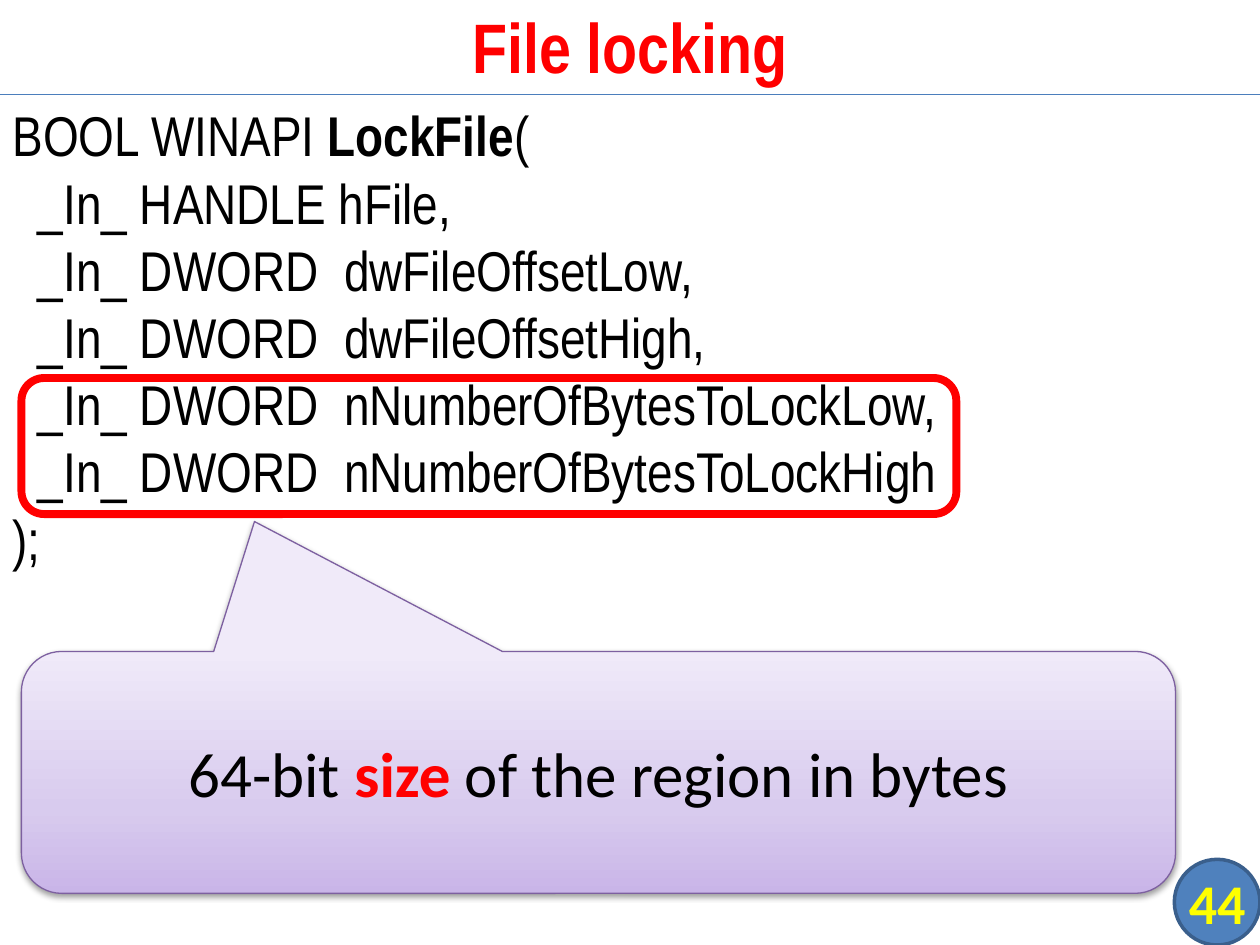
from dataclasses import dataclass

from lxml.etree import SubElement
from pptx import Presentation
from pptx.dml.color import RGBColor
from pptx.enum.shapes import MSO_CONNECTOR, MSO_SHAPE
from pptx.enum.text import MSO_ANCHOR, MSO_AUTO_SIZE, PP_ALIGN
from pptx.oxml import parse_xml
from pptx.oxml.ns import nsdecls, qn
from pptx.util import Inches, Pt

BLACK = RGBColor(0x00, 0x00, 0x00)
RED = RGBColor(0xFF, 0x00, 0x00)
YELLOW = RGBColor(0xFF, 0xFF, 0x00)
BADGE_BLUE = RGBColor(0x4F, 0x81, 0xBD)
BADGE_EDGE = RGBColor(0x3A, 0x5F, 0x8C)
RULE_BLUE = RGBColor(0x4B, 0x7E, 0xBC)
CALLOUT_EDGE = RGBColor(0x7D, 0x60, 0xA0)
CALLOUT_STOPS = (
    (0, RGBColor(0xC9, 0xB5, 0xE8)),
    (35, RGBColor(0xD8, 0xCB, 0xEE)),
    (100, RGBColor(0xF0, 0xEA, 0xF9)),
)
WIDTH, HEIGHT = Inches(10), Inches(7.5)
COLUMNS, ROWS = 40, 30
HEADER_ROWS = 3
CODE_FONT = "Arial Narrow"
NOTE_FONT = "Calibri"


@dataclass(frozen=True)
class Area:
    column: float
    row: float
    columns: float
    rows: float

    def emu(self) -> tuple[int, int, int, int]:
        cell_width, cell_height = WIDTH / COLUMNS, HEIGHT / ROWS
        return (
            round(self.column * cell_width),
            round(self.row * cell_height),
            round(self.columns * cell_width),
            round(self.rows * cell_height),
        )


@dataclass(frozen=True)
class Span:
    text: str
    bold: bool = False
    color: RGBColor = BLACK


@dataclass(frozen=True)
class CodeLine:
    spans: tuple[Span, ...]
    indented: bool = True


TITLE_AREA = Area(0, -0.12, COLUMNS, 3.12)
CODE_AREA = Area(0, HEADER_ROWS, COLUMNS, ROWS - HEADER_ROWS)
BADGE_AREA = Area(37.28, 27.28, 2.72, 2.72)
SIZE_FRAME_AREA = Area(0.68, 12, 29.68, 4.32)
CALLOUT_AREA = Area(0.68, 20.68, 36.64, 7.68)
PARAMETERS = (
    "_In_ HANDLE hFile,",
    "_In_ DWORD  dwFileOffsetLow,",
    "_In_ DWORD  dwFileOffsetHigh,",
    "_In_ DWORD  nNumberOfBytesToLockLow,",
    "_In_ DWORD  nNumberOfBytesToLockHigh",
)
SIGNATURE = (
    CodeLine((Span("BOOL WINAPI "), Span("LockFile", bold=True), Span("(")), False),
    *(CodeLine((Span(parameter),)) for parameter in PARAMETERS),
    CodeLine((Span(");"),), False),
)


def write(paragraph, *spans: Span, font: str, size: float,
          align=PP_ALIGN.CENTER) -> None:
    paragraph.alignment = align
    for span in spans:
        run = paragraph.add_run()
        run.text = span.text
        run.font.name = font
        run.font.size = Pt(size)
        run.font.bold = span.bold
        run.font.color.rgb = span.color


def place(placeholder, area: Area, anchor):
    placeholder.left, placeholder.top, placeholder.width, placeholder.height = area.emu()
    frame = placeholder.text_frame
    frame.auto_size = MSO_AUTO_SIZE.NONE
    frame.vertical_anchor = anchor
    return frame


def add_outlined(slide, preset, area: Area, edge: RGBColor, weight: float):
    shape = slide.shapes.add_shape(preset, *area.emu())
    shape.line.color.rgb = edge
    shape.line.width = Pt(weight)
    shape.shadow.inherit = False
    return shape


def add_header(slide) -> None:
    frame = place(slide.shapes.title, TITLE_AREA, MSO_ANCHOR.MIDDLE)
    write(frame.paragraphs[0], Span("File locking", True, RED), font=CODE_FONT, size=40)
    _, rule_y, rule_width, _ = CODE_AREA.emu()
    rule = slide.shapes.add_connector(
        MSO_CONNECTOR.STRAIGHT, 0, rule_y, rule_width, rule_y)
    rule.line.color.rgb = RULE_BLUE
    rule.line.width = Pt(0.75)
    SubElement(rule._element.spPr, qn("a:effectLst"))


def add_signature(slide) -> None:
    frame = place(slide.placeholders[1], CODE_AREA, MSO_ANCHOR.TOP)
    for index, code in enumerate(SIGNATURE):
        paragraph = frame.add_paragraph() if index else frame.paragraphs[0]
        paragraph.space_before = Pt(0)
        paragraph.line_spacing = Pt(38.4)
        properties = paragraph._p.get_or_add_pPr()
        properties.set("marL", str(Inches(0.2) if code.indented else 0))
        properties.set("indent", "0")
        SubElement(properties, qn("a:buNone"))
        write(paragraph, *code.spans, font=CODE_FONT, size=32, align=PP_ALIGN.LEFT)


def add_badge(slide) -> None:
    badge = add_outlined(
        slide, MSO_SHAPE.FLOWCHART_CONNECTOR, BADGE_AREA, BADGE_EDGE, 2)
    badge.fill.solid()
    badge.fill.fore_color.rgb = BADGE_BLUE
    number = slide.shapes.add_textbox(*BADGE_AREA.emu()).text_frame
    number.word_wrap = True
    number.vertical_anchor = MSO_ANCHOR.MIDDLE
    number.margin_left = number.margin_right = 0
    number.margin_top = number.margin_bottom = 0
    write(number.paragraphs[0], Span("44", True, YELLOW), font=NOTE_FONT, size=32)


def add_callout(slide) -> None:
    callout = add_outlined(
        slide, MSO_SHAPE.ROUNDED_RECTANGULAR_CALLOUT, CALLOUT_AREA, CALLOUT_EDGE, 0.75)
    for index, value in enumerate((-0.298, -1.037, 0.167)):
        callout.adjustments[index] = value
    stops = "".join(
        f'<a:gs pos="{share * 1000}"><a:srgbClr val="{color}"/></a:gs>'
        for share, color in CALLOUT_STOPS)
    properties = callout._element.spPr
    properties.find(qn("a:prstGeom")).addnext(parse_xml(
        f'<a:gradFill {nsdecls("a")} rotWithShape="1"><a:gsLst>{stops}</a:gsLst>'
        '<a:lin ang="16200000" scaled="1"/></a:gradFill>'))
    properties.find(qn("a:effectLst")).append(parse_xml(
        f'<a:outerShdw {nsdecls("a")} blurRad="{Pt(3.1)}" dist="{Pt(1.6)}" '
        'dir="5400000" rotWithShape="0"><a:srgbClr val="000000">'
        '<a:alpha val="38000"/></a:srgbClr></a:outerShdw>'))
    frame = callout.text_frame
    frame.word_wrap = True
    frame.vertical_anchor = MSO_ANCHOR.MIDDLE
    write(frame.paragraphs[0], Span("64-bit "), Span("size", True, RED),
          Span(" of the region in bytes"), font=NOTE_FONT, size=36)


def main() -> None:
    presentation = Presentation()
    presentation.slide_width, presentation.slide_height = WIDTH, HEIGHT
    slide = presentation.slides.add_slide(presentation.slide_layouts[1])
    add_header(slide)
    add_signature(slide)
    add_badge(slide)
    size_frame = add_outlined(
        slide, MSO_SHAPE.ROUNDED_RECTANGLE, SIZE_FRAME_AREA, RED, 4.5)
    size_frame.fill.background()
    add_callout(slide)
    presentation.save("out.pptx")


if __name__ == "__main__":
    main()
